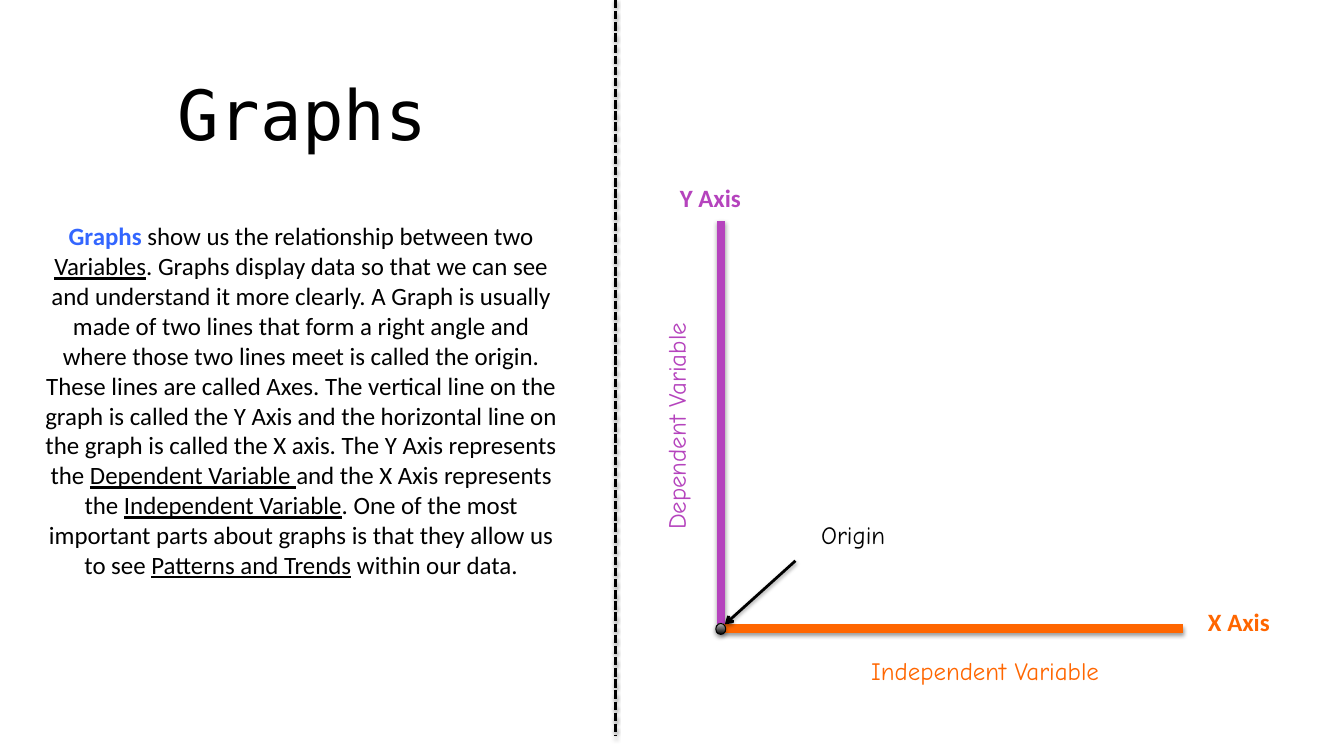
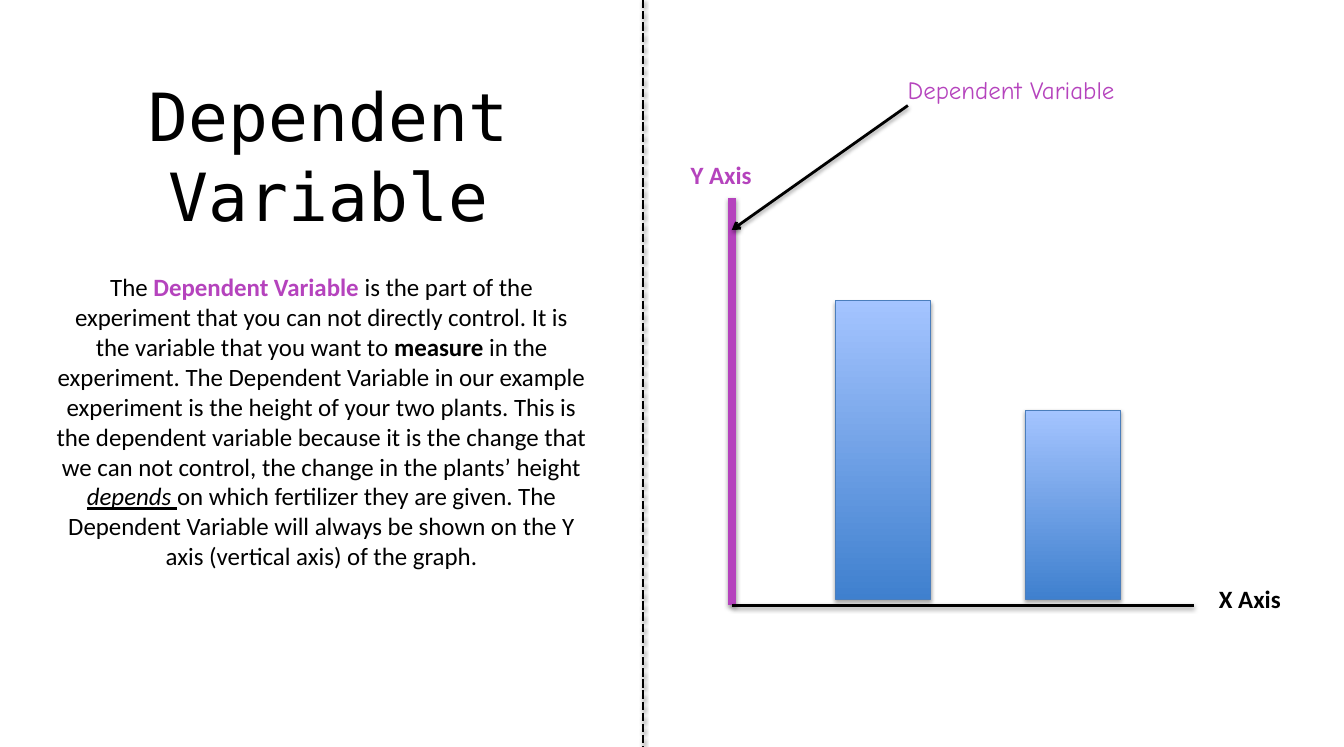
from dataclasses import dataclass
from lxml.etree import SubElement
from pptx import Presentation
from pptx.dml.color import RGBColor as RGB
from pptx.enum.dml import MSO_LINE
from pptx.enum.shapes import MSO_CONNECTOR, MSO_SHAPE
from pptx.enum.text import MSO_ANCHOR, MSO_AUTO_SIZE, PP_ALIGN
from pptx.oxml.ns import qn
from pptx.util import Pt


@dataclass(frozen=True)
class Theme:
    black: str = "000000"
    purple: str = "B543BD"
    orange: str = "FF6600"
    blue: str = "3366FF"
    bar_edge: str = "4B7EBC"
    bar_fill: tuple = ("3F80CE", "A4C4FF")
    dot_fill: tuple = ("000000", "BDBDBD")
    title_font: str = "DejaVu Sans Mono"
    body_font: str = "Calibri"
    label_font: str = "Comic Neue"
    body_size: int = 18
    axis_width: float = 6
    thin_width: float = 2
    edge_width: float = 0.75


THEME = Theme()


class Deck:
    def __init__(self, theme, width, height):
        self.theme = theme
        self.presentation = Presentation()
        self.presentation.slide_width = Pt(width)
        self.presentation.slide_height = Pt(height)
        self.slide = None

    def new_slide(self, title, size, box):
        layout = self.presentation.slide_layouts[5]
        self.slide = self.presentation.slides.add_slide(layout)
        heading = self.slide.shapes.title
        heading.left, heading.top, heading.width, heading.height = map(Pt, box)
        look = {"size": Pt(size), "name": self.theme.title_font}
        self.set_runs(heading.text_frame, [(title, look)],
                      vertical_anchor=MSO_ANCHOR.MIDDLE)

    def set_runs(self, frame, runs, align=PP_ALIGN.CENTER, **frame_format):
        settings = {"word_wrap": True, "auto_size": MSO_AUTO_SIZE.NONE}
        for name, value in (settings | frame_format).items():
            setattr(frame, name, value)
        paragraph = frame.paragraphs[0]
        paragraph.alignment = align
        base = {"size": Pt(self.theme.body_size), "name": self.theme.body_font,
                "color": self.theme.black}
        for text, look in runs:
            run = paragraph.add_run()
            run.text = text
            font_format = base | look
            run.font.color.rgb = RGB.from_string(font_format.pop("color"))
            for name, value in font_format.items():
                setattr(run.font, name, value)

    def text(self, box, runs, align=PP_ALIGN.CENTER, rotation=0):
        textbox = self.slide.shapes.add_textbox(*map(Pt, box))
        textbox.rotation = rotation
        self.set_runs(textbox.text_frame, runs, align)

    def label(self, box, text, color, **placing):
        look = {"name": self.theme.label_font, "color": color}
        self.text(box, [(text, look)], **placing)

    def shadow(self, element, opacity, distance):
        effects = SubElement(element.spPr, qn("a:effectLst"))
        outer = SubElement(effects, qn("a:outerShdw"), blurRad=str(Pt(3.1)),
                           dist=str(Pt(distance)), dir="5400000", rotWithShape="0")
        color = SubElement(outer, qn("a:srgbClr"), val=self.theme.black)
        SubElement(color, qn("a:alpha"), val=str(opacity * 1000))

    def line(self, start, end, color, width, dash=None, arrow=False):
        connector = self.slide.shapes.add_connector(
            MSO_CONNECTOR.STRAIGHT, *map(Pt, (*start, *end)))
        element = connector._element
        connector.line.color.rgb = RGB.from_string(color)
        connector.line.width = Pt(width)
        if dash:
            connector.line.dash_style = dash
        if arrow:
            SubElement(element.spPr.find(qn("a:ln")), qn("a:tailEnd"), type="arrow")
        self.shadow(element, 38, 1.6)

    def arrow(self, start, end):
        self.line(start, end, self.theme.black, self.theme.thin_width, arrow=True)

    def divider(self, x, bottom):
        self.line((x, 0), (x, bottom), self.theme.black, self.theme.thin_width,
                  dash=MSO_LINE.SQUARE_DOT)

    def gradient_shape(self, kind, box, colors, edge):
        shape = self.slide.shapes.add_shape(kind, *map(Pt, box))
        shape.fill.gradient()
        shape.fill.gradient_angle = 90
        for stop, color in zip(shape.fill.gradient_stops, colors):
            stop.color.rgb = RGB.from_string(color)
        shape.line.color.rgb = RGB.from_string(edge)
        shape.line.width = Pt(self.theme.edge_width)
        self.shadow(shape._element, 35, 1.8)

    def axes(self, x, y, x_color, x_width):
        purple = self.theme.purple
        self.line((x, y - 293.8), (x, y), purple, self.theme.axis_width)
        self.line((x + 334, y + 0.7), (x, y + 0.7), x_color, x_width)
        self.text((x - 56.2, y - 325.4, 97.2, 28.8),
                  [("Y Axis", {"color": purple, "bold": True})])
        self.text((x + 323.6, y - 18.7, 102.2, 28.8),
                  [("X Axis", {"color": x_color, "bold": True})])


deck = Deck(THEME, 972, 540)
underlined = {"underline": True}

# Slide 1: the parts of a graph
deck.new_slide("Graphs", 50, (58.3, 47.5, 320.4, 67.7))
deck.text((25.2, 156.2, 385.2, 290.9), [
    ("Graphs", {"color": THEME.blue, "bold": True}),
    (" show us the relationship between two ", {}),
    ("Variables", underlined),
    (". Graphs display data so that we can see and understand it more clearly. "
     "A Graph is usually made of two lines that form a right angle and where "
     "those two lines meet is called the origin. These lines are called Axes. "
     "The vertical line on the graph is called the Y Axis and the horizontal "
     "line on the graph is called the X axis. The Y Axis represents the ", {}),
    ("Dependent Variable ", underlined),
    ("and the X Axis represents the ", {}),
    ("Independent Variable", underlined),
    (". One of the most important parts about graphs is that they allow us "
     "to see ", {}),
    ("Patterns and Trends", underlined),
    (" within our data.", {}),
])
deck.axes(521.3, 453.6, THEME.orange, THEME.axis_width)
deck.label((607.7, 470.2, 209.5, 51.1), "Independent Variable", THEME.orange)
deck.label((380.9, 293.8, 216, 28.8), "Dependent Variable", THEME.purple,
           rotation=270)

# Origin marker and its pointer
deck.gradient_shape(MSO_SHAPE.OVAL, (517.7, 450.7, 7.2, 7.9),
                    THEME.dot_fill, THEME.black)
deck.arrow((575.3, 405.4), (524.2, 451.4))
deck.label((573.1, 372.2, 87.8, 28.8), "Origin", THEME.black)
deck.divider(445, 532)

# Slide 2: the dependent variable
deck.new_slide("Dependent Variable", 48, (33.1, 67, 409, 90))
deck.text((33.1, 193, 398.9, 225.4), [
    ("The ", {}),
    ("Dependent Variable ", {"color": THEME.purple, "bold": True}),
    ("is the part of the experiment that you can not directly control. It is "
     "the variable that you want to ", {}),
    ("measure ", {"bold": True}),
    ("in the experiment. The Dependent Variable in our example experiment is "
     "the height of your two plants. This is the dependent variable because it "
     "is the change that we can not control, the change in the plants’ "
     "height ", {}),
    ("depends ", {"underline": True, "italic": True}),
    ("on which fertilizer they are given. The Dependent Variable will always "
     "be shown on the Y axis (vertical axis) of the graph.", {}),
])
deck.axes(529.2, 437, THEME.black, THEME.thin_width)

# Plant height bars
bars_bottom, first_bar, bar_step, bar_width = 433.4, 604.1, 137.5, 69.1
for index, plant_height in enumerate((216, 136.8)):
    deck.gradient_shape(
        MSO_SHAPE.RECTANGLE,
        (first_bar + index * bar_step, bars_bottom - plant_height,
         bar_width, plant_height),
        THEME.bar_fill, THEME.bar_edge)

# Pointer to the Y axis
deck.arrow((656.6, 76.3), (529.2, 166.3))
deck.label((649.4, 50.4, 213.8, 28.8), "Dependent Variable", THEME.purple,
           align=PP_ALIGN.LEFT)
deck.divider(465.1, 540)

deck.presentation.save("out.pptx")
